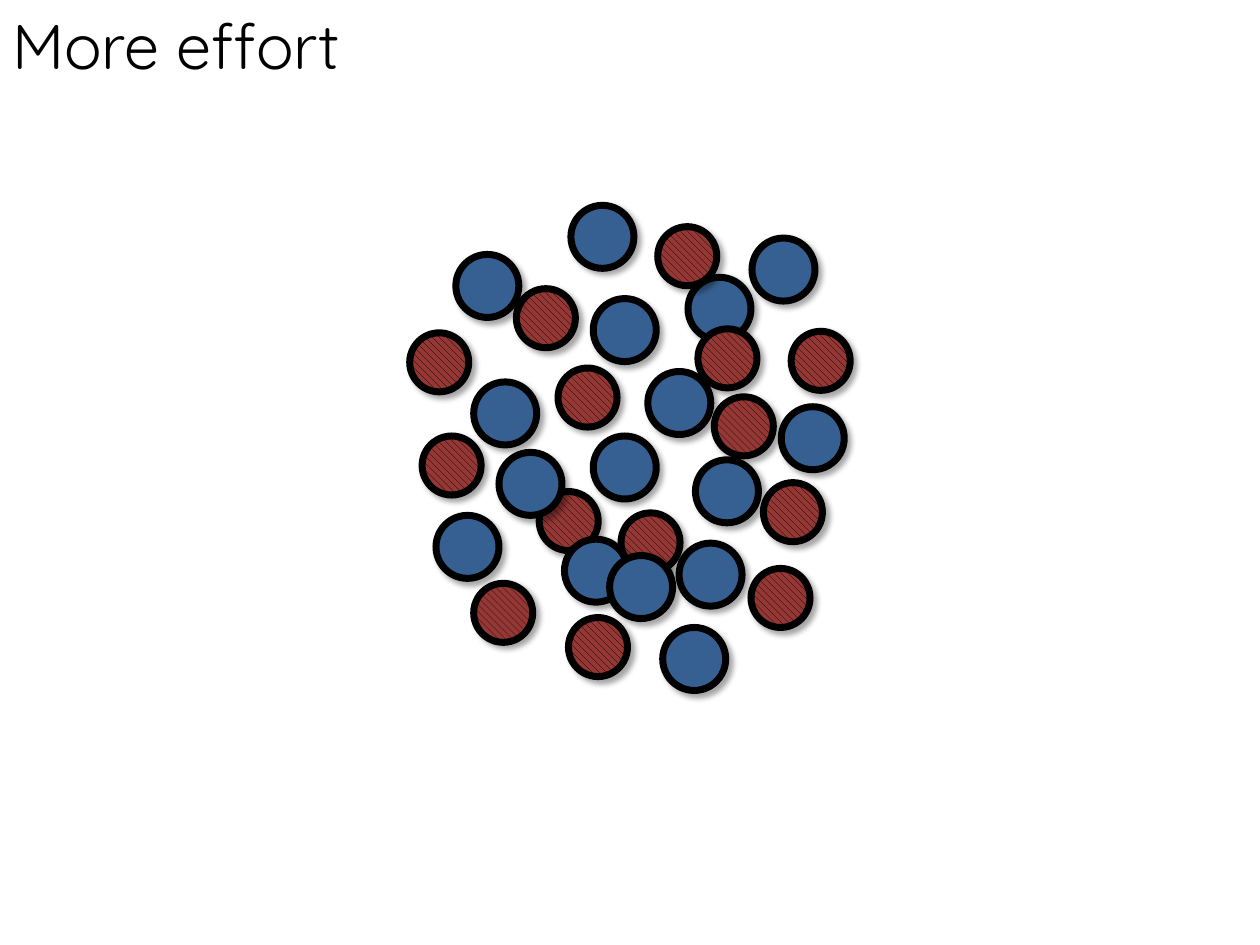
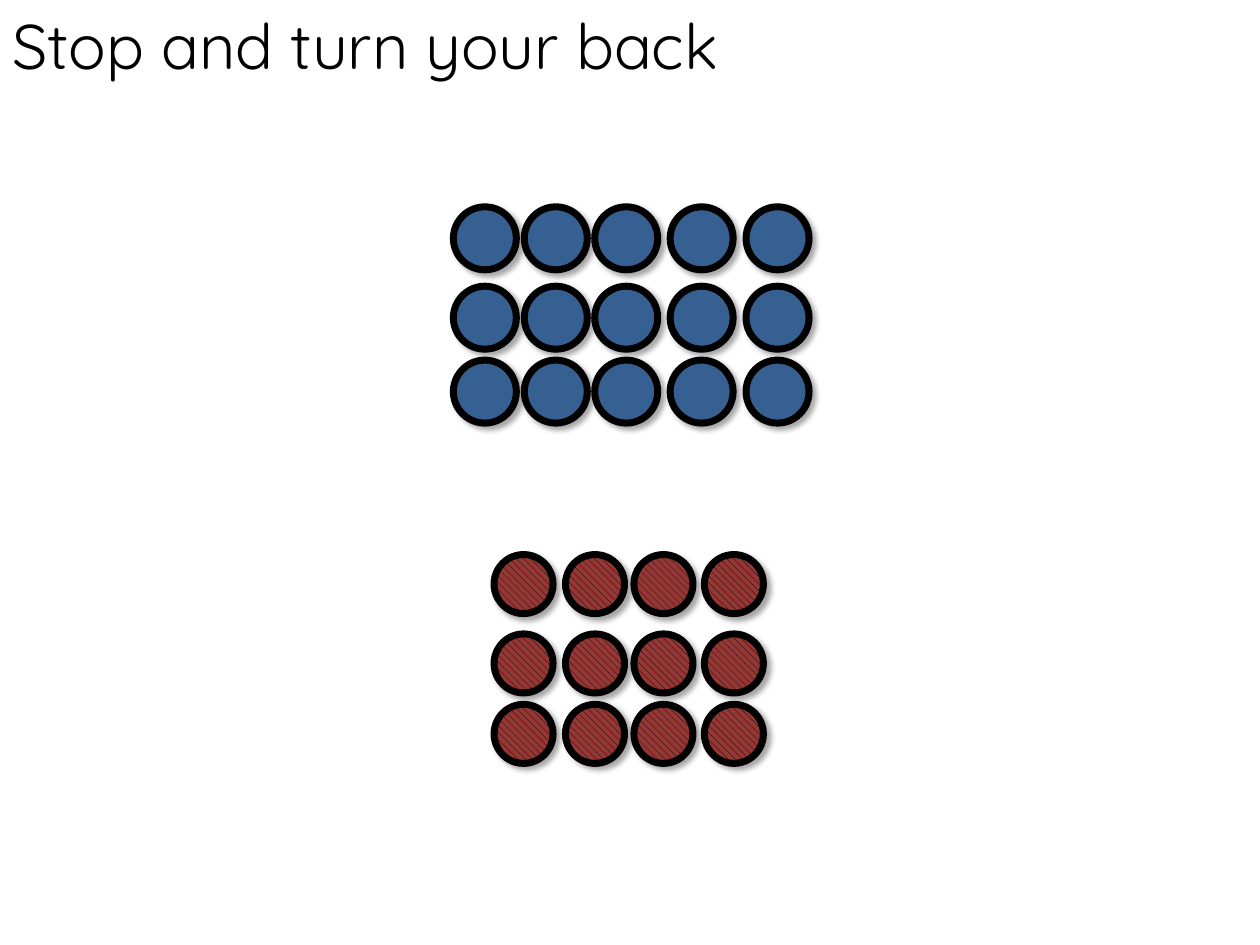
from dataclasses import dataclass
from itertools import product
from typing import Iterable, NamedTuple

from lxml.etree import SubElement
from pptx import Presentation
from pptx.dml.color import RGBColor
from pptx.enum.dml import MSO_PATTERN
from pptx.enum.shapes import MSO_SHAPE
from pptx.enum.text import MSO_AUTO_SIZE
from pptx.oxml.ns import qn
from pptx.presentation import Presentation as Deck
from pptx.shapes.autoshape import Shape
from pptx.slide import Slide
from pptx.util import Cm, Pt


@dataclass(frozen=True)
class Theme:
    font: str = "Quicksand"
    title_size: Pt = Pt(36)
    black: RGBColor = RGBColor(0x00, 0x00, 0x00)
    blue: RGBColor = RGBColor(0x37, 0x60, 0x92)
    red: RGBColor = RGBColor(0x95, 0x37, 0x35)
    outline: Pt = Pt(4)
    shadow_blur: Pt = Pt(3.15)
    shadow_distance: Pt = Pt(3)
    shadow_angle: int = 45
    shadow_opacity: int = 35


THEME = Theme()


class Kind(NamedTuple):
    diameter: float
    color: RGBColor
    hatched: bool


class Dot(NamedTuple):
    kind: Kind
    left: float
    top: float


BLUE = Kind(1.27, THEME.blue, False)
RED = Kind(1.19, THEME.red, True)

SCATTERED = [
    Dot(BLUE, 14.02, 9.27),
    Dot(BLUE, 13.87, 5.59),
    Dot(BLUE, 11.96, 6.02),
    Dot(RED, 13.26, 4.57),
    Dot(RED, 9.55, 11.76),
    Dot(RED, 10.41, 5.82),
    Dot(RED, 12.52, 10.34),
    Dot(RED, 8.26, 6.71),
    Dot(RED, 10.87, 9.91),
    Dot(BLUE, 8.79, 10.39),
    Dot(BLUE, 11.96, 8.79),
    Dot(BLUE, 11.38, 10.87),
    Dot(BLUE, 9.19, 5.13),
    Dot(BLUE, 10.06, 9.12),
    Dot(BLUE, 11.51, 4.14),
    Dot(BLUE, 13.06, 7.49),
    Dot(BLUE, 9.55, 7.7),
    Dot(BLUE, 13.69, 10.95),
    Dot(RED, 8.51, 8.79),
    Dot(RED, 14.4, 8.0),
    Dot(RED, 11.25, 7.42),
    Dot(RED, 15.14, 11.46),
    Dot(RED, 11.46, 12.45),
    Dot(RED, 14.07, 6.63),
    Dot(BLUE, 13.36, 12.65),
    Dot(BLUE, 15.75, 8.2),
    Dot(RED, 15.95, 6.68),
    Dot(BLUE, 15.16, 4.8),
    Dot(RED, 15.39, 9.73),
    Dot(BLUE, 12.29, 11.2),
]


def grid(kind: Kind, columns: list[float], rows: list[float]) -> list[Dot]:
    return [Dot(kind, left, top) for top, left in product(rows, columns)]


SORTED = [
    *grid(BLUE, [9.14, 10.57, 11.99, 13.51, 15.04], [4.17, 5.77, 7.26]),
    *grid(RED, [9.96, 11.4, 12.78, 14.2], [11.18, 12.78, 14.2]),
]


def add_title(s: Slide, text: str, width: float) -> None:
    tf = s.shapes.add_textbox(Cm(0), Cm(0), Cm(width), Cm(1.8)).text_frame
    tf.word_wrap = True
    tf.auto_size = MSO_AUTO_SIZE.SHAPE_TO_FIT_TEXT
    tf.text = text
    font = tf.paragraphs[0].runs[0].font
    font.name = THEME.font
    font.size = THEME.title_size
    font.color.rgb = THEME.black


def add_shadow(sp: Shape) -> None:
    sp.shadow.inherit = False
    effects = sp._element.spPr.find(qn("a:effectLst"))
    shadow = SubElement(
        effects,
        qn("a:outerShdw"),
        blurRad=str(int(THEME.shadow_blur)),
        dist=str(int(THEME.shadow_distance)),
        dir=str(THEME.shadow_angle * 60000),
        algn="ctr",
        rotWithShape="0",
    )
    color = SubElement(shadow, qn("a:srgbClr"), val=str(THEME.black))
    SubElement(color, qn("a:alpha"), val=str(THEME.shadow_opacity * 1000))


def add_dot(s: Slide, dot: Dot) -> None:
    kind = dot.kind
    size = Cm(kind.diameter)
    sp = s.shapes.add_shape(MSO_SHAPE.OVAL, Cm(dot.left), Cm(dot.top), size, size)
    if kind.hatched:
        sp.fill.patterned()
        sp.fill.pattern = MSO_PATTERN.WIDE_DOWNWARD_DIAGONAL
        sp.fill.fore_color.rgb = THEME.black
        sp.fill.back_color.rgb = kind.color
    else:
        sp.fill.solid()
        sp.fill.fore_color.rgb = kind.color
    sp.line.color.rgb = THEME.black
    sp.line.width = THEME.outline
    add_shadow(sp)


def add_dot_slide(prs: Deck, title: str, width: float, dots: Iterable[Dot]) -> None:
    s = prs.slides.add_slide(prs.slide_layouts[6])
    add_title(s, title, width)
    for dot in dots:
        add_dot(s, dot)


def main() -> None:
    prs = Presentation()
    prs.slide_width = Cm(25.4)
    prs.slide_height = Cm(19.05)
    add_dot_slide(prs, "More effort", 17.6, SCATTERED)
    add_dot_slide(prs, "Stop and turn your back", 21.92, SORTED)
    prs.save("out.pptx")


if __name__ == "__main__":
    main()
